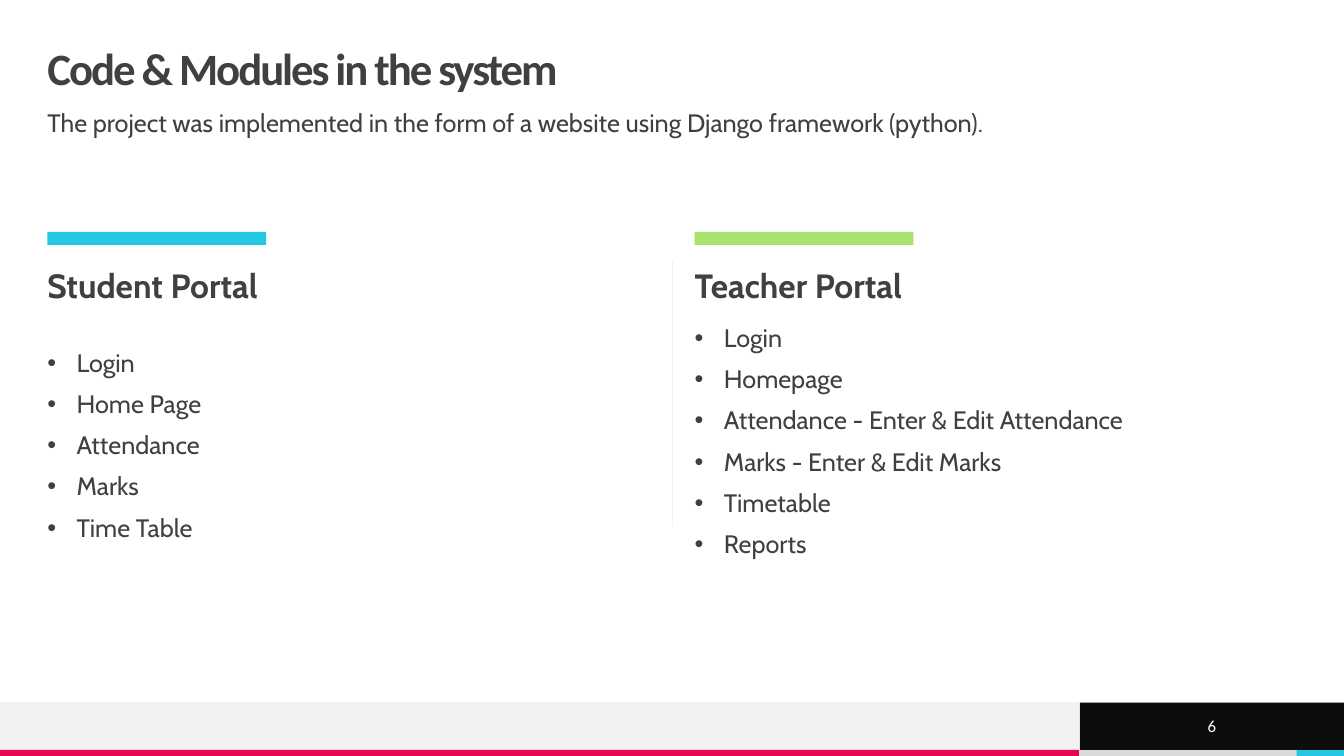
import pptx
import pptx.dml.color
import pptx.enum.shapes
import pptx.enum.text
import pptx.util
from lxml import etree

Inch = pptx.util.Inches
Pt = pptx.util.Pt
Shape = pptx.enum.shapes.MSO_SHAPE
Anchor = pptx.enum.text.MSO_ANCHOR
Align = pptx.enum.text.PP_ALIGN
NS = "{http://schemas.openxmlformats.org/drawingml/2006/main}"

WIDE, HIGH = 13.33, 7.5
LEFT, RIGHT = 0.47, 6.89  # column starts
COL = 5.98
FULL = WIDE - 2 * LEFT
ROW = 0.39
BAR = 2.17
FOOT, BASE = 6.97, 7.44  # footer band and strip tops
SPLIT = 10.7
DARK, PALE, CYAN = "404040", "F2F2F2", "25C6E3"


def paint(target, tone):
    """Give a fill or line format one solid colour."""
    target.solid()
    target.fore_color.rgb = pptx.dml.color.RGBColor.from_string(tone)


def write(shape, lines, look, para, anchor=Anchor.TOP, track=0, dots=False):
    """Set lines of text in a shape; look holds font values, para paragraph values."""
    frame = shape.text_frame
    box = dict(margin_left=0, margin_top=0, margin_right=0, margin_bottom=0,
               word_wrap=True, vertical_anchor=anchor)
    for key, val in box.items():
        setattr(frame, key, val)
    for num, line in enumerate(lines):
        par = frame.paragraphs[0] if num == 0 else frame.add_paragraph()
        for key, val in para.items():
            setattr(par, key, val)
        run = par.add_run()
        run.text = line
        for key, val in look.items():
            if key == "tone":
                paint(run.font.fill, val)
            else:
                setattr(run.font, key, val)
        if track:
            run.font._element.set("spc", str(track))
        if dots:
            props = par._p.get_or_add_pPr()
            props.set("marL", str(Inch(0.29)))
            props.set("indent", str(-Inch(0.29)))
            etree.SubElement(props, NS + "buFont", typeface="Arial")
            etree.SubElement(props, NS + "buChar", char="•")


deck = pptx.Presentation()
deck.slide_width, deck.slide_height = Inch(WIDE), Inch(HIGH)
slide = deck.slides.add_slide(deck.slide_layouts[6])
shapes = slide.shapes

# Rules: footer edge and column divider
for ends in [(WIDE, FOOT, 0, FOOT), (WIDE / 2, 2.58, WIDE / 2, 5.22)]:
    rule = shapes.add_connector(pptx.enum.shapes.MSO_CONNECTOR.STRAIGHT,
                                *[Inch(end) for end in ends])
    paint(rule.line.fill, PALE)
    rule.line.width = Pt(0.5)
    etree.SubElement(rule._element.spPr, NS + "effectLst")

# Footer blocks and column accents; the page block comes last
blocks = [
    (SPLIT, BASE, BAR, HIGH - BASE, "DADADA"),
    (0, FOOT, SPLIT, BASE - FOOT, PALE),
    (0, BASE, SPLIT, HIGH - BASE, "E80554"),
    (WIDE - LEFT, BASE, LEFT, HIGH - BASE, CYAN),
    (LEFT, 2.3, BAR, 0.13, CYAN),
    (RIGHT, 2.3, BAR, 0.13, "A9E26F"),
    (SPLIT + 0.01, FOOT, WIDE - SPLIT - 0.01, BASE - FOOT, "0D0D0D"),
]
for *area, tone in blocks:
    block = shapes.add_shape(Shape.RECTANGLE, *[Inch(size) for size in area])
    block.shadow.inherit = False
    block.line.fill.background()
    paint(block.fill, tone)
write(block, ["6"], dict(name="Calibri", size=Pt(12), tone="FFFFFF"),
      dict(alignment=Align.CENTER), Anchor.MIDDLE)

# Text
title = dict(name="Calibri", size=Pt(32), bold=True, tone=DARK)
body = dict(name="Cabin", size=Pt(18), tone=DARK)
head = dict(body, size=Pt(24), bold=True)
tight = dict(alignment=Align.LEFT, line_spacing=0.9)
loose = dict(tight, space_before=Pt(10))

student = ["Login", "Home Page", "Attendance", "Marks", "Time Table"]
teacher = ["Login", "Homepage", "Attendance - Enter & Edit Attendance",
           "Marks - Enter & Edit Marks", "Timetable", "Reports"]
intro = "The project was implemented in the form of a website using Django framework (python)."

texts = [
    ((LEFT, 0.47, FULL, 0.47), ["Code & Modules in the system"], title, tight,
     Anchor.MIDDLE, -150, False),
    ((LEFT, 1.1, FULL, ROW), [intro], body, loose, Anchor.TOP, 0, False),
]
for left, name, items, anchor in [(LEFT, "Student Portal", student, Anchor.MIDDLE),
                                  (RIGHT, "Teacher Portal", teacher, Anchor.TOP)]:
    texts.append(((left, 2.67, COL, ROW), [name], head, loose, Anchor.TOP, 0, False))
    texts.append(((left, 3.23, COL, 2.4), items, body, loose, anchor, 0, True))
for area, *rest in texts:
    write(shapes.add_textbox(*[Inch(size) for size in area]), *rest)

deck.save("out.pptx")
